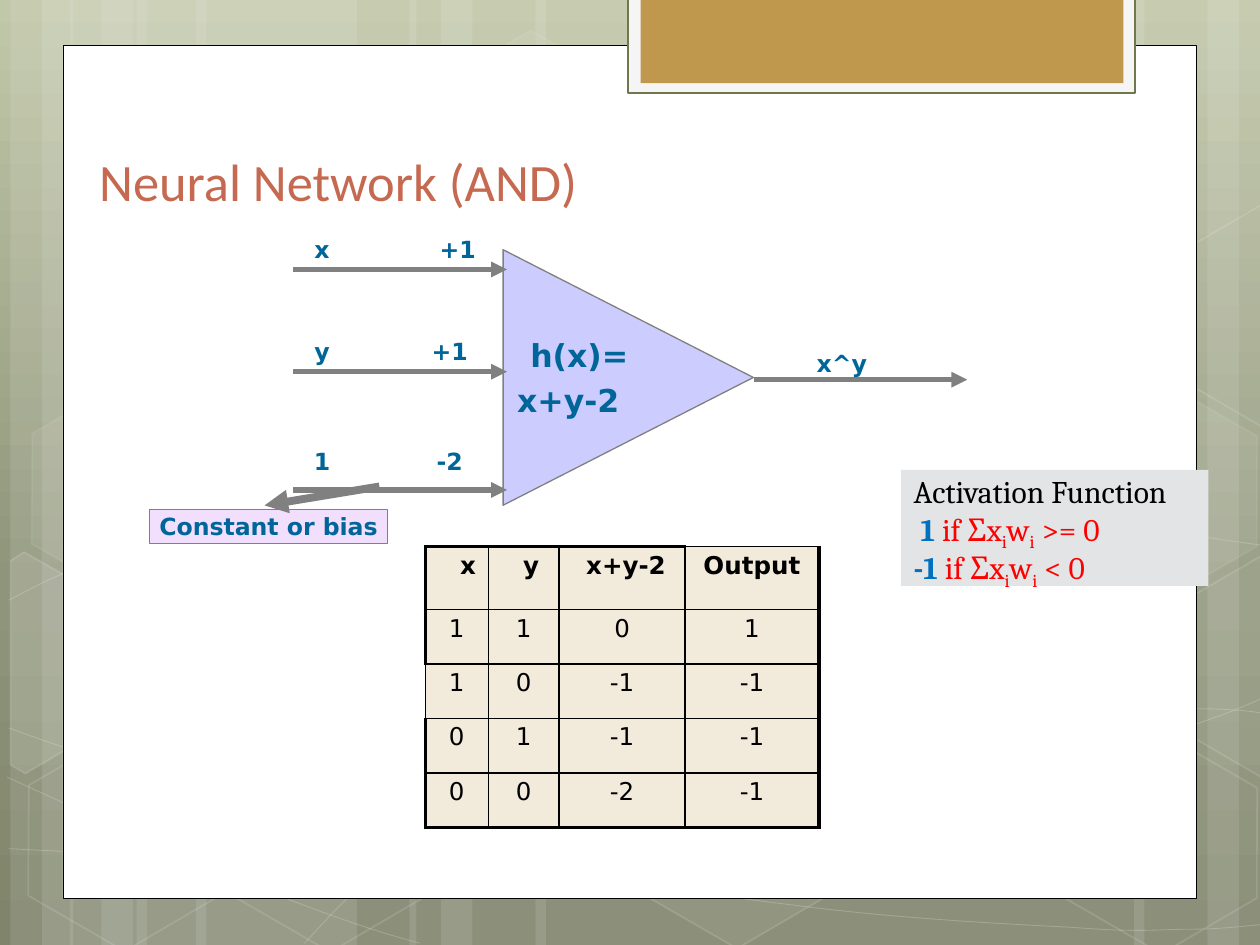
from copy import deepcopy
from math import cos, radians, sin

from lxml import etree
from pptx import Presentation
from pptx.dml.color import RGBColor
from pptx.enum import shapes as kinds, text as txt
from pptx.oxml.ns import qn
from pptx.util import Pt

SANS = {"font": "DejaVu Sans", "color": "006699", "bold": True}
LABEL = {**SANS, "size": 13.5, "margins": (6, 3)}
CENTER = txt.PP_ALIGN.CENTER
RECT = kinds.MSO_SHAPE.RECTANGLE
GRAY = "808080"
TILT = 30

STRIPES = [(78, 126), (6, 36), (24, 60), (112, 126), (40, 36), (58, 60),
           (528, 126), (690, 36), (648, 60), (306, 222), (234, 36), (252, 60)]
# Each curve is a start point followed by Bezier triples
CURVES = [
    [(5, 485), (44, 487), (83, 489), (137, 488), (191, 487), (258, 486), (330, 479),
     (402, 472), (504, 458), (570, 444), (636, 431), (703, 409), (725, 397)],
    [(5, 343), (26, 332), (47, 321), (87, 310), (128, 300), (186, 284), (250, 279),
     (314, 274), (392, 273), (471, 279), (550, 284), (682, 307), (725, 312)],
    [(4, 444), (91, 484), (178, 523), (240, 539)],
    [(5, 416), (27, 424), (50, 432), (92, 444), (134, 454), (197, 472), (257, 485),
     (317, 497), (392, 510), (452, 517), (512, 525), (576, 528), (614, 530),
     (652, 533), (662, 531), (680, 531), (699, 531), (712, 529), (725, 528)],
    [(174, 539), (187, 525), (200, 510), (217, 498), (235, 485), (259, 470), (279, 460),
     (300, 450), (312, 446), (338, 438), (364, 431), (413, 421), (438, 416),
     (464, 411), (467, 411), (490, 410), (512, 408), (547, 405), (572, 405),
     (597, 405), (638, 405), (638, 405), (654, 405), (670, 405), (686, 405),
     (699, 405), (711, 406), (718, 407), (724, 408), (722, 407), (724, 408)],
]
# Left, top, fill opacity, line opacity
HEXAGONS = [(240.5, 26, 4, 8), (358, 424, 6, 12), (8, 425.5, None, 12),
            (10, 224.5, 7, 8), (125.5, 426, None, 12), (542, 326, 10, 12),
            (600.5, 427, None, 12), (600.5, 226, 7, 8)]
LEFT_PART = [(6, 320.4), (13.7, 315.4), (69, 347), (68.4, 410.4), (14.4, 442), (6, 437)]
RIGHT_PART = [(667, 349), (721, 317.5), (726.5, 321), (726.5, 441.4), (721.4, 444.2),
              (667, 412.6)]
UPPER_PART = [(x, y - 200.5) for x, y in RIGHT_PART]
# Points, centre of the tilted frame, fill opacity
CUT_HEXAGONS = [(LEFT_PART, (25.9, 385.2), 10), (RIGHT_PART, (709.2, 374.4), 4),
                (UPPER_PART, (709.2, 173.9), None)]


def rgb(value):
    return RGBColor.from_string(value)


def paint(fill, color, opacity=None):
    """Solid fill, or none without a color; opacity is in percent."""
    if color is None:
        fill.background()
        return
    fill.solid()
    fill.fore_color.rgb = rgb(color)
    if opacity is not None:
        tone = fill._xPr.find(".//" + qn("a:srgbClr"))
        etree.SubElement(tone, qn("a:alpha"), val=str(opacity * 1000))


def style(shape, fill=None, line=None, width=1.0, opacity=None, line_opacity=None):
    shape.shadow.inherit = False
    paint(shape.fill, fill, opacity)
    paint(shape.line.fill, line, line_opacity)
    if line:
        shape.line.width = Pt(width)
    return shape


def block(page, box, kind=RECT, **look):
    return style(page.shapes.add_shape(kind, *map(Pt, box)), **look)


def outline(page, points, closed=True, **look):
    corners = [(Pt(x), Pt(y)) for x, y in points]
    builder = page.shapes.build_freeform(*corners[0], scale=1.0)
    builder.add_line_segments(corners[1:], close=closed)
    return style(builder.convert_to_shape(), **look)


def curve(page, points, **look):
    """Turn every three segments of an open outline into one Bezier segment."""
    shape = outline(page, points, closed=False, **look)
    segments = list(shape._element.iter(qn("a:lnTo")))
    for i in range(0, len(segments), 3):
        bend = etree.Element(qn("a:cubicBezTo"))
        segments[i].addprevious(bend)
        for segment in segments[i:i + 3]:
            bend.append(segment[0])
            segment.getparent().remove(segment)


def untilt(point, center):
    angle = radians(TILT)
    x, y = point[0] - center[0], point[1] - center[1]
    return (center[0] + x * cos(angle) + y * sin(angle),
            center[1] - x * sin(angle) + y * cos(angle))


def write(frame, *lines, size, font, color, bold=False, align=txt.PP_ALIGN.LEFT,
          anchor=txt.MSO_ANCHOR.TOP, wrap=True, margins=(7.2, 3.6), spacing=None, gap=0):
    """Each line is a string or a list of (text, changes)."""
    frame.word_wrap = wrap
    frame.vertical_anchor = anchor
    frame.margin_left = frame.margin_right = Pt(margins[0])
    frame.margin_top = frame.margin_bottom = Pt(margins[1])
    for number, line in enumerate(lines):
        para = frame.add_paragraph() if number else frame.paragraphs[0]
        para.alignment = align
        if spacing:
            para.line_spacing = spacing
        if number:
            para.space_before = Pt(gap)
        for content, changes in [(line, {})] if isinstance(line, str) else line:
            span = para.add_run()
            span.text = content
            span.font.size, span.font.name = Pt(size), font
            span.font.bold = changes.get("bold", bold)
            span.font.color.rgb = rgb(changes.get("color", color))
            if "base" in changes:
                span._r.get_or_add_rPr().set("baseline", str(changes["base"] * 1000))
            if changes.get("indent"):
                para._p.get_or_add_pPr().set("marL", str(Pt(changes["indent"])))


def label(page, box, *lines, **look):
    write(page.shapes.add_textbox(*map(Pt, box)).text_frame, *lines, **look)


def arrow(page, start, end, width=3.0):
    line = page.shapes.add_connector(kinds.MSO_CONNECTOR.STRAIGHT, *map(Pt, start + end))
    line.line.color.rgb = rgb(GRAY)
    line.line.width = Pt(width)
    etree.SubElement(line.line._get_or_add_ln(), qn("a:tailEnd"), type="triangle")
    etree.SubElement(line._element.spPr, qn("a:effectLst"))


def backdrop(page):
    fill = page.background.fill
    fill.gradient()
    fill.gradient_angle = 270
    stops = page.element.find(".//" + qn("a:gsLst"))
    stops.append(deepcopy(stops[0]))
    for stop, place, color in zip(fill.gradient_stops, (0, 0.62, 1),
                                  ("C1C7A9", "8F957A", "7F846B")):
        stop.position = place
        stop.color.rgb = rgb(color)
    for left, width in STRIPES:
        block(page, (left, 0, width, 540), fill="FFFFFF", opacity=10)
    for points in CURVES:
        curve(page, points, line="FFFFFF", width=0.5, line_opacity=20)
    for left, top, opacity, line_opacity in HEXAGONS:
        cell = block(page, (left, top, 126, 109.5), kinds.MSO_SHAPE.HEXAGON,
                     fill="FFFFFF" if opacity else None, opacity=opacity,
                     line="FFFFFF", line_opacity=line_opacity)
        cell.adjustments[0], cell.adjustments[1] = 0.285, 1.155
        cell.rotation = TILT
    for points, center, opacity in CUT_HEXAGONS:
        part = outline(page, [untilt(point, center) for point in points],
                       fill="FFFFFF" if opacity else None, opacity=opacity,
                       line="FFFFFF", line_opacity=12)
        part.rotation = TILT
    block(page, (36, 26, 648, 487.3), fill="FFFFFF", line="000000", width=0.5)
    block(page, (359, -1.5, 289.5, 54.5), fill="F5F5F5", line="6E774E", width=1.25)
    block(page, (366, -1.5, 276, 49), fill="BF974D")


def border(cell, **widths):
    for side in "LRTB":
        edge = etree.SubElement(cell._tc.get_or_add_tcPr(), qn("a:ln" + side),
                                w=str(Pt(widths.get(side, 1))))
        solid = etree.SubElement(edge, qn("a:solidFill"))
        etree.SubElement(solid, qn("a:srgbClr"), val="000000")


def truth_table(page, box):
    rows = [("x", "y", "x+y-2", "Output"), ("1", "1", "0", "1"), ("1", "0", "-1", "-1"),
            ("0", "1", "-1", "-1"), ("0", "0", "-2", "-1")]
    header_indents = (14, 14, 9.5, 4.5)
    table = page.shapes.add_table(5, 4, *map(Pt, box)).table
    table.first_row = table.horz_banding = False
    for column, width in zip(table.columns, (36, 40.5, 72, 76.5)):
        column.width = Pt(width)
    for r, row in enumerate(rows):
        table.rows[r].height = Pt(31.1 if r else 36)
        for c, value in enumerate(row):
            cell = table.cell(r, c)
            border(cell, L=2.25 if c == 0 and r != 2 else 1, R=2.25 if c == 3 else 1,
                   T=2.25 if r == 0 and c < 3 else 1, B=2.25 if r == 4 else 1)
            paint(cell.fill, "F2EADB")
            write(cell.text_frame, [(value, {"indent": 0 if r else header_indents[c]})],
                  size=14, font="DejaVu Sans", color="000000", bold=r == 0,
                  align=CENTER if r else txt.PP_ALIGN.LEFT)
            cell.margin_left = cell.margin_right = Pt(6)
            cell.margin_top = cell.margin_bottom = Pt(2.6)


def neuron(page, box):
    left, top = box[:2]

    def at(x, y, *size):
        return (left + x, top + y, *size)

    unit = block(page, at(200.5, 13.2, 146, 143), kinds.MSO_SHAPE.ISOSCELES_TRIANGLE,
                 fill="CCCCFF", line=GRAY, width=0.75)
    unit.rotation = 90
    write(unit.text_frame, [("h(x)=", {"indent": 15.5})], [("x+y-2", {"indent": 3})], **SANS,
          size=18, align=CENTER, anchor=txt.MSO_ANCHOR.MIDDLE, wrap=False, margins=(6, 3), gap=4)
    unit.text_frame._txBody.bodyPr.set("vert", "vert270")
    for name, weight, label_y, weight_x, arrow_y in (
            ("x", "+1", 0, 157.3, 23), ("y", "+1", 58.6, 152.7, 81.4),
            ("1", "-2", 121.6, 152.7, 149)):
        arrow(page, at(82.2, arrow_y), at(204.2, arrow_y))
        label(page, at(82, label_y, 33, 21.5), name, **LABEL, align=CENTER)
        label(page, at(weight_x, label_y, 37.5, 21.5), weight, **LABEL, align=CENTER)
    arrow(page, at(345.2, 86), at(467.2, 86))
    label(page, at(375.2, 65.5, 110, 21.5), "x^y", **LABEL)
    bias = block(page, at(0, 160, 136, 19.5), fill="F2DFFD", line=GRAY, width=0.75)
    write(bias.text_frame, "Constant or bias", **LABEL, align=CENTER,
          anchor=txt.MSO_ANCHOR.MIDDLE, wrap=False)
    arrow(page, at(131.3, 147), at(65.7, 157.8), width=4.5)


def activation(page, box):
    def rule(value, condition, indent=0):
        red, low = {"color": "FF0000"}, {"color": "FF0000", "base": -25}
        return [(value, {"color": "0070C0", "bold": True, "indent": indent}), ("if Σx", red),
                ("i", low), ("w", red), ("i", low), (condition, red)]

    panel = block(page, box, fill="E2E4E5")
    write(panel.text_frame, "Activation Function", rule("1 ", " >= 0", indent=4),
          rule("-1 ", " < 0"), size=18, font="Cambria", color="000000", spacing=0.9)


def main():
    deck = Presentation()
    deck.slide_width, deck.slide_height = Pt(720), Pt(540)
    page = deck.slides.add_slide(deck.slide_layouts[6])
    backdrop(page)
    truth_table(page, (243, 312.4, 225, 160.4))
    neuron(page, (85.5, 131, 467.5, 180))
    label(page, (49.6, 81.8, 553, 39.5), "Neural Network (AND)", size=30, font="Calibri",
          color="C66951")
    activation(page, (515, 268.5, 175.5, 66.3))
    deck.save("out.pptx")


if __name__ == "__main__":
    main()
